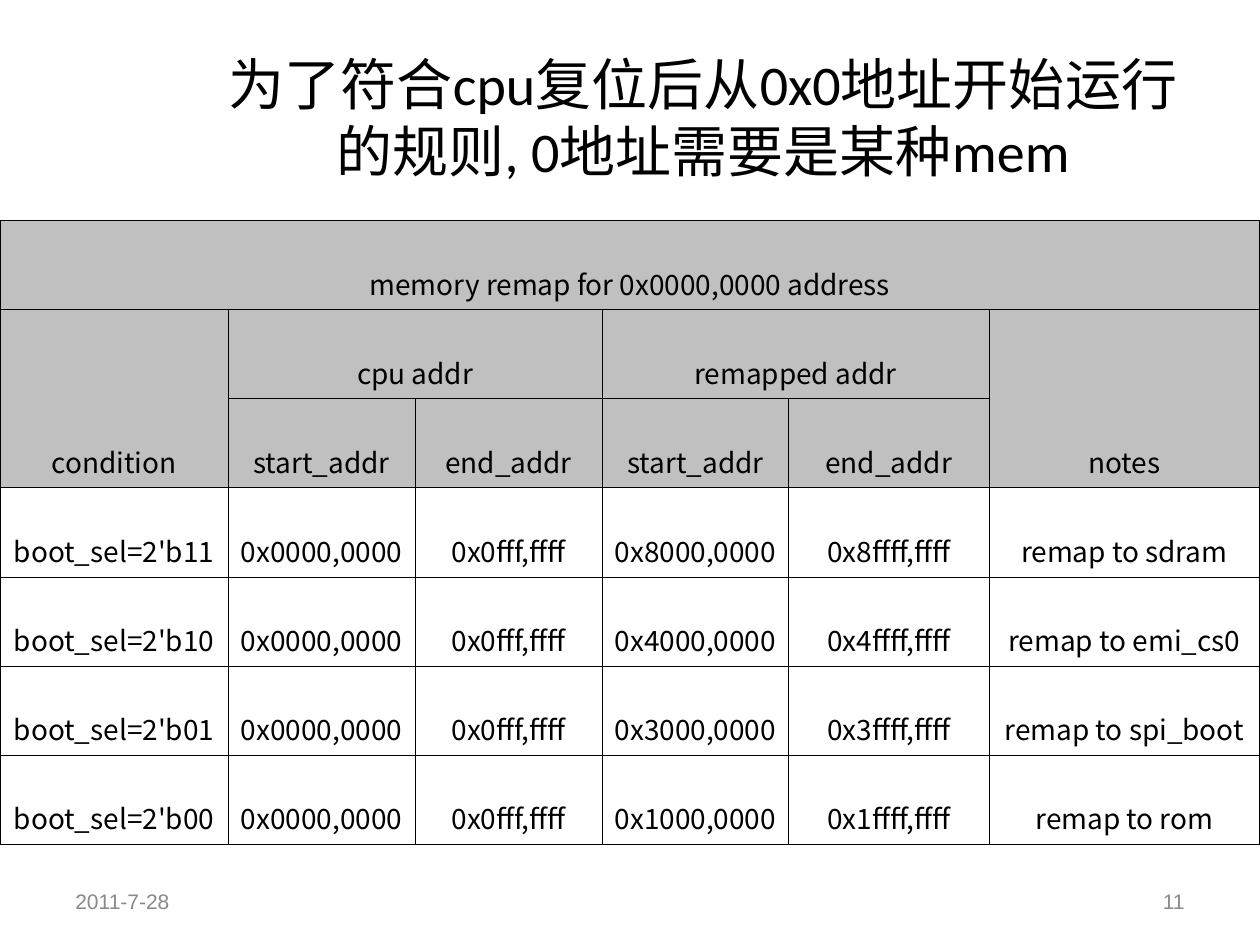
from collections import namedtuple
from dataclasses import dataclass

from lxml.etree import SubElement
from pptx import Presentation
from pptx.dml.color import RGBColor
from pptx.enum.text import MSO_ANCHOR, PP_ALIGN
from pptx.oxml.ns import qn
from pptx.util import Inches, Pt

Box = namedtuple("Box", "left top width height")
Style = namedtuple("Style", "font size color")


@dataclass(frozen=True)
class Theme:
    """Colours, type styles and line width of the slide."""
    title: Style = Style("Calibri", 32, "000000")
    cell: Style = Style("Noto Sans CJK SC", 16, "000000")
    footer: Style = Style("Arial", 12, "898989")
    asian_font: str = "Noto Sans CJK SC"
    header_fill: str = "C0C0C0"
    border: str = "000000"
    border_width: float = 0.45


THEME = Theme()
WIDTH, HEIGHT = Inches(10), Inches(7.5)
GRID_COLUMNS, GRID_ROWS = 100, 75
TITLE = "为了符合cpu复位后从0x0地址开始运行的规则, 0地址需要是某种mem"
HEADER_ROWS = 3
COLUMN_WEIGHTS = (18.1, 14.85, 14.85, 14.8, 15.9, 21.5)
MERGES = ((0, 0, 0, 5), (1, 0, 2, 0), (1, 1, 1, 2), (1, 3, 1, 4), (1, 5, 2, 5))
HEADERS = [
    ("memory remap for 0x0000,0000 address", "", "", "", "", ""),
    ("condition", "cpu addr", "", "remapped addr", "", "notes"),
    ("", "start_addr", "end_addr", "start_addr", "end_addr", ""),
]
TARGETS = (("11", "8", "sdram"), ("10", "4", "emi_cs0"),
           ("01", "3", "spi_boot"), ("00", "1", "rom"))
ROWS = HEADERS + [
    (f"boot_sel=2'b{bits}", "0x0000,0000", "0x0fff,ffff",
     f"0x{digit}000,0000", f"0x{digit}ffff,ffff", f"remap to {memory}")
    for bits, digit, memory in TARGETS
]


def grid_box(left, top, width, height):
    """Turn grid columns and rows into a box."""
    column, row = WIDTH / GRID_COLUMNS, HEIGHT / GRID_ROWS
    return Box(int(left * column), int(top * row), int(width * column), int(height * row))


def write(para, text, style, align):
    """Add one styled run to a paragraph."""
    para.alignment = align
    span = para.add_run()
    span.text = text
    span.font.name = style.font
    span.font.size = Pt(style.size)
    span.font.color.rgb = RGBColor.from_string(style.color)
    SubElement(span.font._element, qn("a:ea"), typeface=THEME.asian_font)


def add_label(page, box, text, style, align):
    """Place wrapped, vertically centred text in a box."""
    frame = page.shapes.add_textbox(*box).text_frame
    frame.word_wrap = True
    frame.vertical_anchor = MSO_ANCHOR.MIDDLE
    write(frame.paragraphs[0], text, style, align)


def draw_borders(cell):
    """Rule all four sides of a table cell."""
    properties = cell._tc.get_or_add_tcPr()
    for side in ("a:lnL", "a:lnR", "a:lnT", "a:lnB"):
        line = SubElement(properties, qn(side), w=str(Pt(THEME.border_width)))
        fill = SubElement(line, qn("a:solidFill"))
        SubElement(fill, qn("a:srgbClr"), val=THEME.border)


def add_remap_table(page, box):
    """Fill the box with the memory remap table."""
    table = page.shapes.add_table(len(ROWS), len(COLUMN_WEIGHTS), *box).table
    table.first_row = table.horz_banding = False
    for column, weight in zip(table.columns, COLUMN_WEIGHTS):
        column.width = int(box.width * weight / sum(COLUMN_WEIGHTS))
    for row_index, texts in enumerate(ROWS):
        table.rows[row_index].height = box.height // len(ROWS)
        for column_index, text in enumerate(texts):
            cell = table.cell(row_index, column_index)
            cell.vertical_anchor = MSO_ANCHOR.BOTTOM
            draw_borders(cell)
            if row_index < HEADER_ROWS:
                cell.fill.solid()
                cell.fill.fore_color.rgb = RGBColor.from_string(THEME.header_fill)
            else:
                cell.fill.background()
            if text:
                write(cell.text_frame.paragraphs[0], text, THEME.cell, PP_ALIGN.CENTER)
    for top, left, bottom, right in MERGES:
        table.cell(top, left).merge(table.cell(bottom, right))


def add_footer(page, box):
    """Put the date at the left and the page number at the right of the box."""
    part = int(box.width * 0.26)
    number_box = box._replace(left=box.left + box.width - part, width=part)
    add_label(page, number_box, "11", THEME.footer, PP_ALIGN.RIGHT)
    add_label(page, box._replace(width=part), "2011-7-28", THEME.footer, PP_ALIGN.LEFT)


def main():
    """Build and save the deck."""
    deck = Presentation()
    deck.slide_width, deck.slide_height = WIDTH, HEIGHT
    page = deck.slides.add_slide(deck.slide_layouts[6])
    add_label(page, grid_box(16.6, 3, 78.4, 12.5), TITLE, THEME.title, PP_ALIGN.CENTER)
    add_remap_table(page, grid_box(0, 17.5, 100, 49.5))
    add_footer(page, grid_box(5, 69.5, 90, 4))
    deck.save("out.pptx")


if __name__ == "__main__":
    main()
